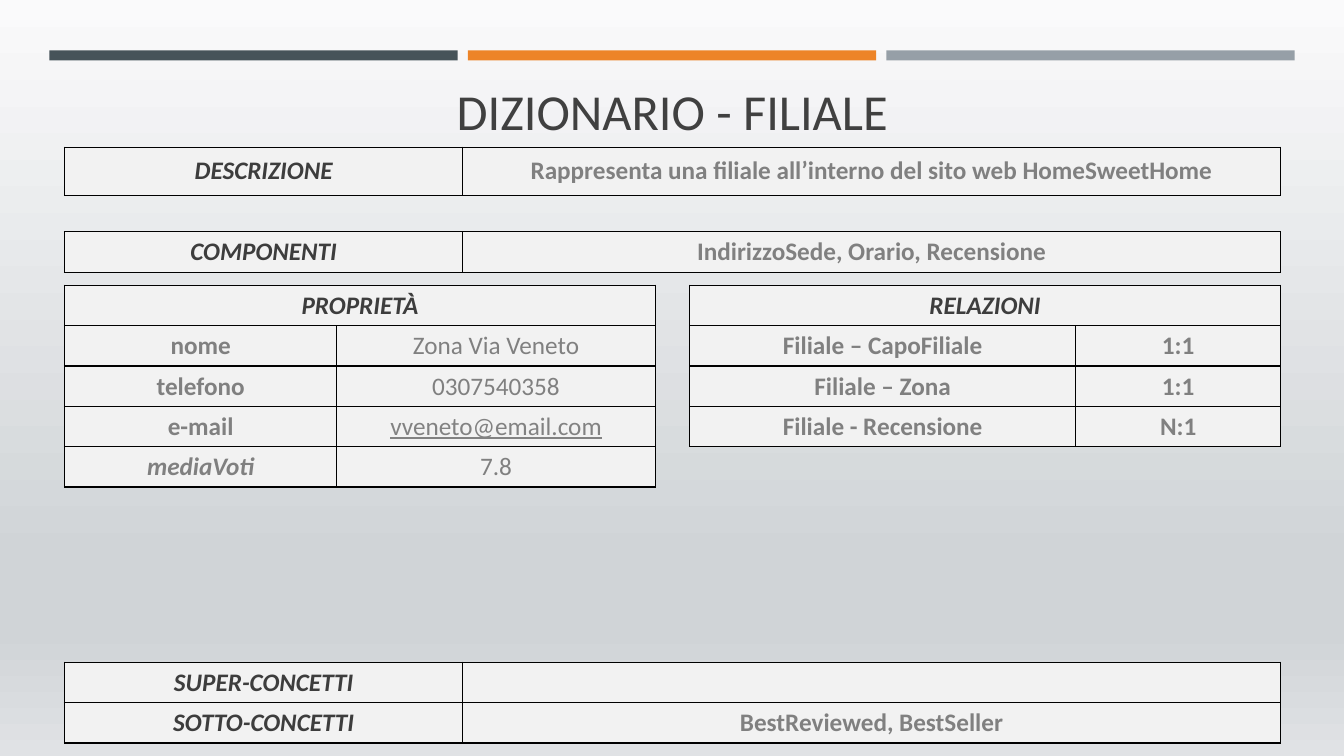
"""Build the data dictionary slide for the Filiale concept."""
from dataclasses import dataclass

from lxml.etree import SubElement
from pptx import Presentation
from pptx.dml.color import RGBColor
from pptx.enum.shapes import MSO_SHAPE
from pptx.enum.text import MSO_ANCHOR, PP_ALIGN
from pptx.oxml.ns import qn
from pptx.slide import Slide
from pptx.table import _Cell
from pptx.text.text import _Paragraph
from pptx.util import Inches, Pt

COLORS = {
    "slate": "465359", "orange": "ED8428", "gray": "969FA7",
    "title": "404040", "heading": "3D3D3D", "body": "808080", "link": "828282",
    "cell": "F2F2F2", "border": "000000",
}
BACKGROUND_STOPS = ((0, "FAFAFB"), (74, "D0D4D7"), (83, "D0D4D7"), (100, "E0E2E5"))
LEFT = 0.64
WIDTH = 12.06
ROW_HEIGHT = 0.4


@dataclass(frozen=True)
class TextStyle:
    color: str
    size: int = 18
    bold: bool = False
    italic: bool = False
    underline: bool = False


TITLE = TextStyle("title", size=36)
HEADING = TextStyle("heading", bold=True, italic=True)
LABEL = TextStyle("body", bold=True)
DERIVED = TextStyle("body", bold=True, italic=True)
VALUE = TextStyle("body")
LINK = TextStyle("link", underline=True)


@dataclass(frozen=True)
class Entry:
    text: str
    style: TextStyle = LABEL


@dataclass(frozen=True)
class Grid:
    left: float
    top: float
    columns: tuple[float, float]
    rows: tuple[tuple[Entry, ...], ...]
    row_height: float = ROW_HEIGHT


@dataclass(frozen=True)
class Bar:
    left: float
    color: str


def wide_grid(top: float, heading: str, text: str, row_height: float = ROW_HEIGHT) -> Grid:
    row = (Entry(heading, HEADING), Entry(text))
    return Grid(LEFT, top, (3.95, 8.11), (row,), row_height)


BARS = (Bar(0.49, "slate"), Bar(4.64, "orange"), Bar(8.79, "gray"))
GRIDS = (
    wide_grid(1.46, "DESCRIZIONE",
              "Rappresenta una filiale all’interno del sito web HomeSweetHome", 0.48),
    Grid(LEFT, 2.83, (2.7, 3.16), (
        (Entry("PROPRIETÀ", HEADING),),
        (Entry("nome"), Entry("Zona Via Veneto", VALUE)),
        (Entry("telefono"), Entry("0307540358", VALUE)),
        (Entry("e-mail"), Entry("vveneto@email.com", LINK)),
        (Entry("mediaVoti", DERIVED), Entry("7.8", VALUE)),
    )),
    wide_grid(2.3, "COMPONENTI", "IndirizzoSede, Orario, Recensione"),
    Grid(6.84, 2.83, (3.83, 2.03), (
        (Entry("RELAZIONI", HEADING),),
        (Entry("Filiale – CapoFiliale"), Entry("1:1")),
        (Entry("Filiale – Zona"), Entry("1:1")),
        (Entry("Filiale - Recensione"), Entry("N:1")),
    )),
    wide_grid(6.57, "SUPER-CONCETTI", ""),
    wide_grid(6.97, "SOTTO-CONCETTI", "BestReviewed, BestSeller"),
)


def rgb(name: str) -> RGBColor:
    return RGBColor.from_string(COLORS[name])


def write_text(paragraph: _Paragraph, text: str, style: TextStyle) -> None:
    paragraph.text = text
    paragraph.alignment = PP_ALIGN.CENTER
    font = paragraph.font
    font.name = "Calibri"
    font.size = Pt(style.size)
    font.bold = style.bold
    font.italic = style.italic
    font.underline = style.underline
    font.color.rgb = rgb(style.color)


def paint_background(slide: Slide) -> None:
    fill = slide.background.fill
    fill.gradient()
    fill.gradient_angle = 270
    stops = next(slide.element.iter(qn("a:gsLst")))
    for stop in list(stops):
        stops.remove(stop)
    for position, color in BACKGROUND_STOPS:
        stop = SubElement(stops, qn("a:gs"), pos=str(position * 1000))
        SubElement(stop, qn("a:srgbClr"), val=color)


def add_bar(slide: Slide, bar: Bar) -> None:
    shape = slide.shapes.add_shape(
        MSO_SHAPE.RECTANGLE, Inches(bar.left), Inches(0.5), Inches(4.05), Inches(0.1))
    shape.shadow.inherit = False
    shape.fill.solid()
    shape.fill.fore_color.rgb = rgb(bar.color)
    shape.line.fill.background()


def add_title(slide: Slide, text: str) -> None:
    shape = slide.shapes.add_textbox(Inches(LEFT), Inches(0.62), Inches(WIDTH), Inches(0.82))
    frame = shape.text_frame
    frame.word_wrap = True
    frame.vertical_anchor = MSO_ANCHOR.BOTTOM
    write_text(frame.paragraphs[0], text, TITLE)


def format_cell(cell: _Cell) -> None:
    cell.vertical_anchor = MSO_ANCHOR.MIDDLE
    properties = cell._tc.get_or_add_tcPr()
    for side in ("L", "R", "T", "B"):
        line = SubElement(properties, qn(f"a:ln{side}"), w=str(Pt(1)))
        fill = SubElement(line, qn("a:solidFill"))
        SubElement(fill, qn("a:srgbClr"), val=COLORS["border"])
    cell.fill.solid()
    cell.fill.fore_color.rgb = rgb("cell")


def add_grid(slide: Slide, grid: Grid) -> None:
    row_count = len(grid.rows)
    table = slide.shapes.add_table(
        row_count, len(grid.columns), Inches(grid.left), Inches(grid.top),
        Inches(sum(grid.columns)), Inches(grid.row_height * row_count)).table
    table.first_row = False
    table.horz_banding = False
    for column, width in zip(table.columns, grid.columns):
        column.width = Inches(width)
    for cell in table.iter_cells():
        format_cell(cell)
    for row_index, entries in enumerate(grid.rows):
        table.rows[row_index].height = Inches(grid.row_height)
        if len(entries) == 1:
            table.cell(row_index, 0).merge(table.cell(row_index, len(grid.columns) - 1))
        for column_index, entry in enumerate(entries):
            paragraph = table.cell(row_index, column_index).text_frame.paragraphs[0]
            write_text(paragraph, entry.text, entry.style)


def main() -> None:
    presentation = Presentation()
    presentation.slide_width = Inches(13.33)
    presentation.slide_height = Inches(7.5)
    slide = presentation.slides.add_slide(presentation.slide_layouts[6])
    paint_background(slide)
    for bar in BARS:
        add_bar(slide, bar)
    add_title(slide, "DIZIONARIO - FILIALE")
    for grid in GRIDS:
        add_grid(slide, grid)
    presentation.save("out.pptx")


if __name__ == "__main__":
    main()
